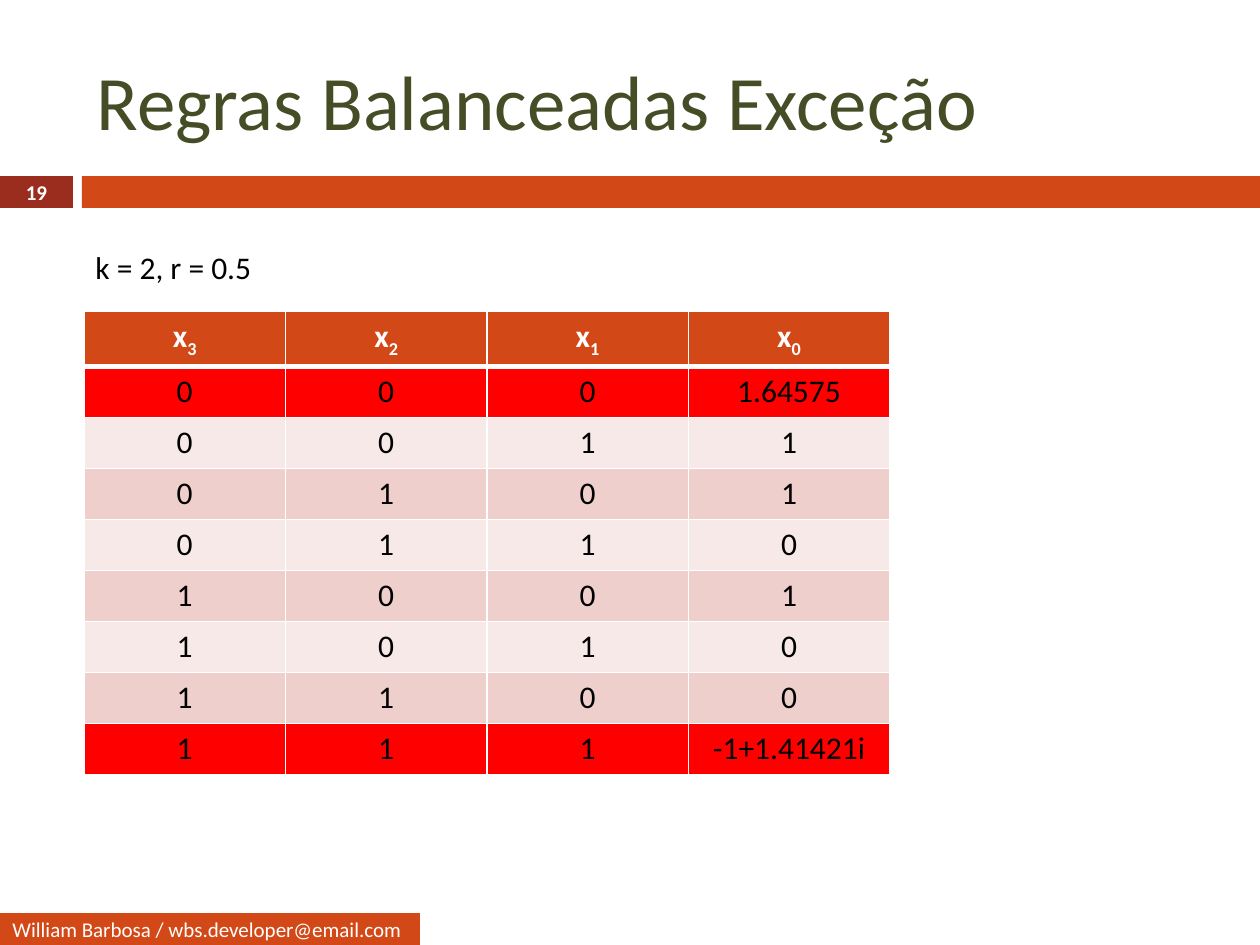
from lxml import etree
from pptx import Presentation
from pptx import util as u
from pptx.dml.color import RGBColor
from pptx.enum import shapes, text
from pptx.oxml.ns import qn

PX = u.Inches(1) / 126
COLORS = {
    "white": "FFFFFF", "black": "000000", "olive": "444D26",
    "orange": "D34817", "brick": "9B2D1F", "red": "FF0000",
    "light": "F7E9E8", "dark": "EFCFCC",
}


def px(*lengths):
    return [u.Emu(round(length * PX)) for length in lengths]


def write(para, content, size, color, bold=False):
    span = para.add_run()
    span.text = content
    span.font.name = "Calibri"
    span.font.size = u.Pt(size)
    span.font.bold = bold
    span.font.color.rgb = RGBColor.from_string(COLORS[color])
    return span


deck = Presentation()
deck.slide_width, deck.slide_height = px(1260, 945)
page = deck.slides.add_slide(deck.slide_layouts[5])

# Bars: page number, header and footer
bars = [
    ((0, 176, 73, 32), "brick", "19", 12, True, text.PP_ALIGN.CENTER),
    ((82, 176, 1178, 32), "orange", "", 12, False, text.PP_ALIGN.LEFT),
    ((0, 913, 420, 32), "orange", "William Barbosa / wbs.developer@email.com",
     12, False, text.PP_ALIGN.LEFT),
]
for place, color, content, size, bold, align in bars:
    bar = page.shapes.add_shape(shapes.MSO_SHAPE.RECTANGLE, *px(*place))
    bar.shadow.inherit = False
    bar.fill.solid()
    bar.fill.fore_color.rgb = RGBColor.from_string(COLORS[color])
    bar.line.fill.background()
    if content:
        frame = bar.text_frame
        frame.margin_top = frame.margin_bottom = 0
        frame.vertical_anchor = text.MSO_ANCHOR.MIDDLE
        frame.paragraphs[0].alignment = align
        write(frame.paragraphs[0], content, size, "white", bold)

# Title
title = page.shapes.title
title.left, title.top, title.width, title.height = px(84, 32, 1124, 136)
title.text_frame.vertical_anchor = text.MSO_ANCHOR.MIDDLE
title.text_frame.paragraphs[0].alignment = text.PP_ALIGN.LEFT
write(title.text_frame.paragraphs[0], "Regras Balanceadas Exceção", 44, "olive")

# Parameters
box = page.shapes.add_textbox(*px(83, 242, 203, 50))
box.text_frame.word_wrap = False
write(box.text_frame.paragraphs[0], "k = 2, r = 0.5", 18, "black")

# Truth table: the inputs count up in binary
outputs = ["1.64575", "1", "1", "0", "1", "0", "0", "-1+1.41421i"]
rows = [["3", "2", "1", "0"]]
rows += [[*f"{number:03b}", output] for number, output in enumerate(outputs)]

table = page.shapes.add_table(len(rows), 4, *px(84, 311, 806, 462)).table
for column in table.columns:
    column.width = px(201.5)[0]
for r, values in enumerate(rows):
    table.rows[r].height = px(54 if r == 0 else 51)[0]
    if r == 0:
        fill = "orange"
    elif r in (1, len(rows) - 1):
        fill = "red"
    else:
        fill = "dark" if r % 2 else "light"
    for c, value in enumerate(values):
        cell = table.cell(r, c)
        cell.fill.solid()
        cell.fill.fore_color.rgb = RGBColor.from_string(COLORS[fill])
        para = cell.text_frame.paragraphs[0]
        para.alignment = text.PP_ALIGN.CENTER
        if r == 0:
            write(para, "x", 18, "white", True)
            index = write(para, value, 18, "white", True)
            index.font._element.set("baseline", "-25000")
        else:
            write(para, value, 18, "black")

        # White borders, thicker under the header
        properties = cell._tc.get_or_add_tcPr()
        for place, side in enumerate(("lnL", "lnR", "lnT", "lnB")):
            thick = (r, side) in ((0, "lnB"), (1, "lnT"))
            line = etree.Element(qn(f"a:{side}"), w=str(u.Pt(3 if thick else 1)))
            solid = etree.SubElement(line, qn("a:solidFill"))
            etree.SubElement(solid, qn("a:srgbClr"), val=COLORS["white"])
            properties.insert(place, line)

deck.save("out.pptx")
